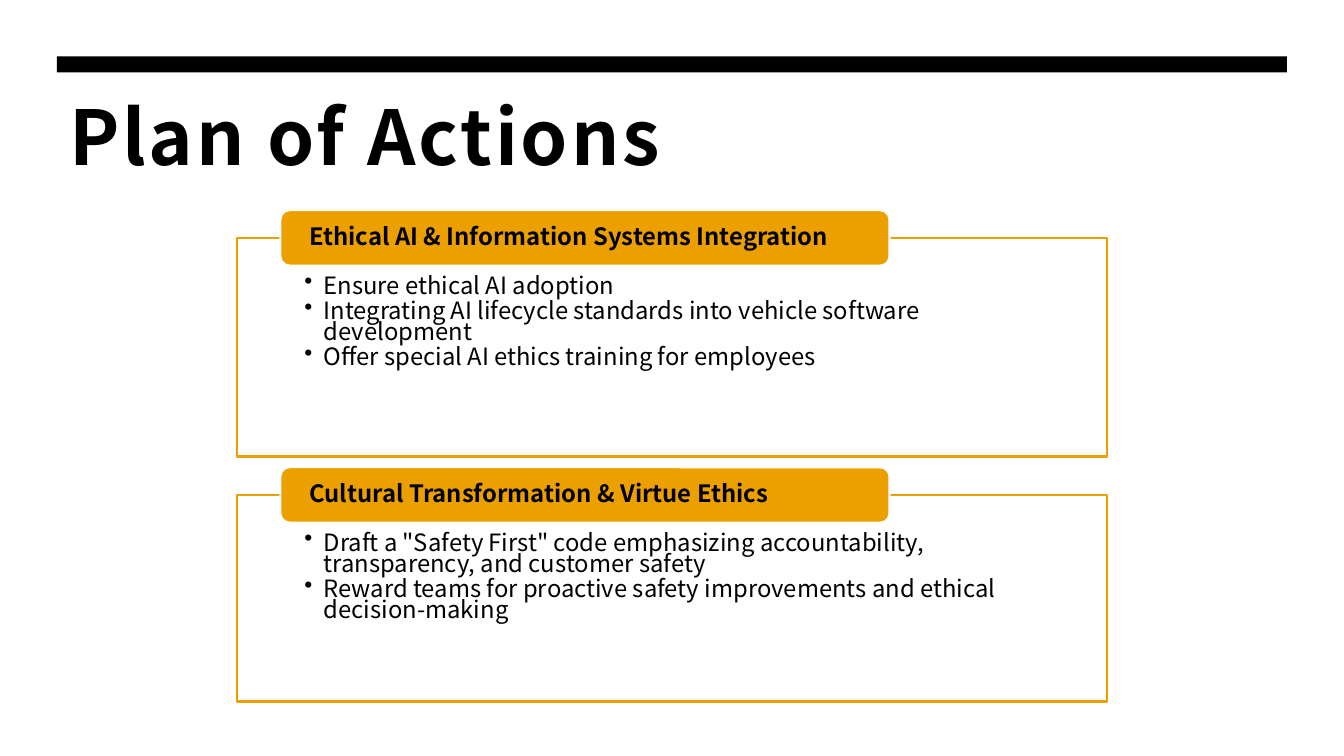
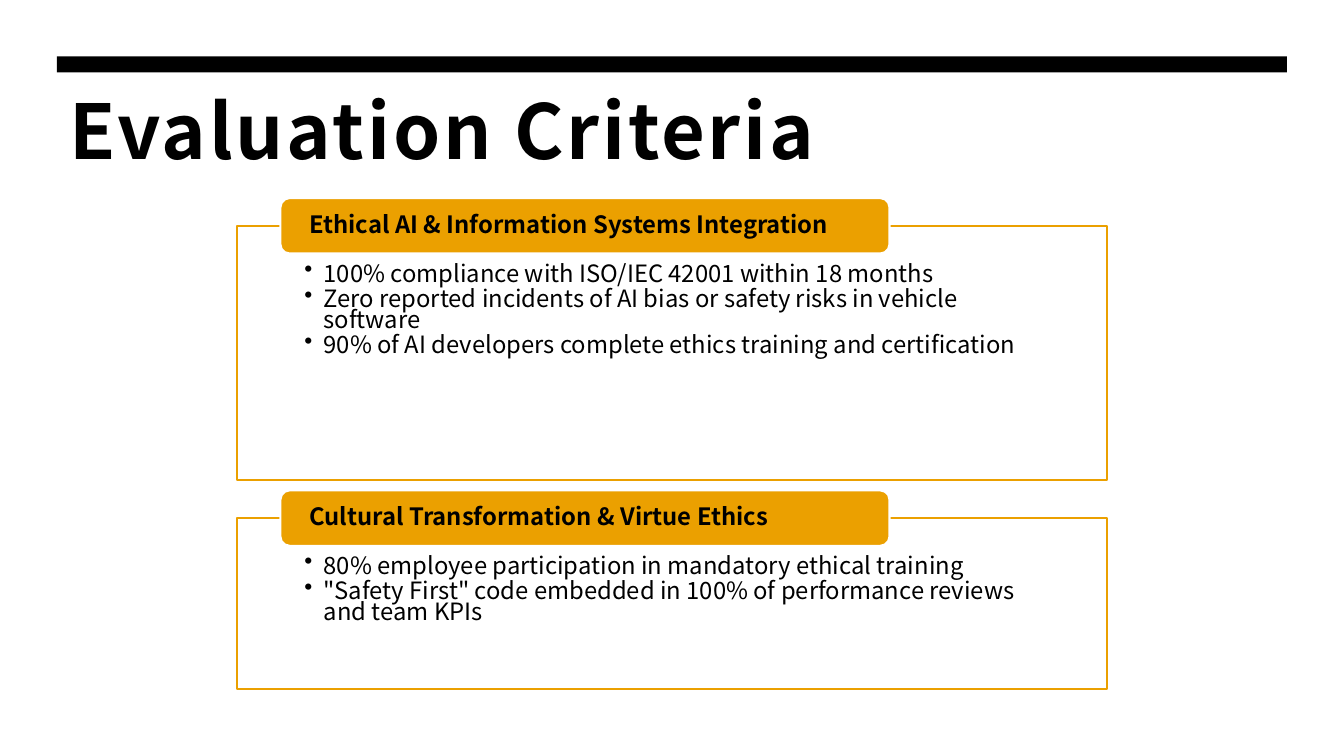
import pptx
import pptx.dml.color
import pptx.enum.shapes
import pptx.enum.text
import pptx.oxml.ns
import pptx.util
import lxml.etree

FONT = "Noto Sans CJK SC"
BLACK, WHITE, AMBER = "000000", "FFFFFF", "EBA000"
SLIDE_W, SLIDE_H = 13.33, 7.5
CONTENT_W = 12.2
CONTENT_X = (SLIDE_W - CONTENT_W) / 2
PANEL_W = 8.63
PANEL_X = (SLIDE_W - PANEL_W) / 2
PANEL_GAP = 0.38
TAB_X = PANEL_X + 0.05 * PANEL_W
TAB_W = 0.7 * PANEL_W
TAB_H = 0.55
BULLET_INDENT = 0.19

INTEGRATION = "Ethical AI & Information Systems Integration"
CULTURE = "Cultural Transformation & Virtue Ethics"

SLIDES = [
    ("Plan of Actions", 0.87, 2.36, [
        (INTEGRATION, 2.17, [
            "Ensure ethical AI adoption",
            "Integrating AI lifecycle standards into vehicle software development",
            "Offer special AI ethics training for employees",
        ]),
        (CULTURE, 2.05, [
            'Draft a "Safety First" code emphasizing accountability, transparency, and customer safety',
            "Reward teams for proactive safety improvements and ethical decision-making",
        ]),
    ]),
    ("Evaluation Criteria", 0.81, 2.24, [
        (INTEGRATION, 2.52, [
            "100% compliance with ISO/IEC 42001 within 18 months",
            "Zero reported incidents of AI bias or safety risks in vehicle software",
            "90% of AI developers complete ethics training and certification",
        ]),
        (CULTURE, 1.7, [
            "80% employee participation in mandatory ethical training",
            '"Safety First" code embedded in 100% of performance reviews and team KPIs',
        ]),
    ]),
]


def rgb(value):
    return pptx.dml.color.RGBColor.from_string(value)


def inches(*lengths):
    return [pptx.util.Inches(length) for length in lengths]


def add_block(slide, preset, box, fill, line=None):
    block = slide.shapes.add_shape(preset, *inches(*box))
    block.shadow.inherit = False
    block.fill.solid()
    block.fill.fore_color.rgb = rgb(fill)
    if line:
        block.line.color.rgb = rgb(line)
        block.line.width = pptx.util.Pt(1.5)
    else:
        block.line.fill.background()
    return block


def write(frame, lines, insets, anchor, size, bold, spacing, after=0, bulleted=False):
    frame.word_wrap = True
    frame.vertical_anchor = anchor
    (frame.margin_left, frame.margin_top,
     frame.margin_right, frame.margin_bottom) = inches(*insets)
    frame.text = "\n".join(lines)
    for paragraph in frame.paragraphs:
        if bulleted:
            add_bullet(paragraph)
        paragraph.alignment = pptx.enum.text.PP_ALIGN.LEFT
        paragraph.line_spacing = spacing
        paragraph.space_after = pptx.util.Pt(after)
        for run in paragraph.runs:
            run.font.name = FONT
            run.font.size = pptx.util.Pt(size)
            run.font.bold = bold
            run.font.color.rgb = rgb(BLACK)


def add_bullet(paragraph):
    properties = paragraph._p.get_or_add_pPr()
    indent = pptx.util.Inches(BULLET_INDENT)
    properties.set("marL", str(indent))
    properties.set("indent", str(-indent))
    bullet = lxml.etree.SubElement(properties, pptx.oxml.ns.qn("a:buChar"))
    bullet.set("char", "•")


def add_heading(slide, title, top):
    add_block(slide, pptx.enum.shapes.MSO_SHAPE.RECTANGLE,
              (CONTENT_X, 0.56, CONTENT_W, 0.16), BLACK)
    heading = slide.shapes.add_textbox(*inches(CONTENT_X, top, CONTENT_W, 1.6))
    write(heading.text_frame, [title], (0.12, 0.12, 0.12, 0.1),
          pptx.enum.text.MSO_ANCHOR.TOP, 54, True, 0.9)
    for run in heading.text_frame.paragraphs[0].runs:
        run._r.get_or_add_rPr().set("spc", "200")


def add_panel(slide, topic, actions, top, height):
    panel = add_block(slide, pptx.enum.shapes.MSO_SHAPE.RECTANGLE,
                      (PANEL_X, top, PANEL_W, height), WHITE, AMBER)
    write(panel.text_frame, actions, (0.67, 0.39, 0.67, 0.13),
          pptx.enum.text.MSO_ANCHOR.TOP, 17, False, 0.74, 3, True)
    tab = add_block(slide, pptx.enum.shapes.MSO_SHAPE.ROUNDED_RECTANGLE,
                    (TAB_X, top - TAB_H / 2, TAB_W, TAB_H), AMBER, WHITE)
    write(tab.text_frame, [topic], (0.26, 0, 0.26, 0),
          pptx.enum.text.MSO_ANCHOR.MIDDLE, 17, True, 0.9)


def main():
    deck = pptx.Presentation()
    deck.slide_width, deck.slide_height = inches(SLIDE_W, SLIDE_H)
    blank = deck.slide_layouts[6]
    for title, title_top, panel_top, panels in SLIDES:
        slide = deck.slides.add_slide(blank)
        add_heading(slide, title, title_top)
        for topic, height, actions in panels:
            add_panel(slide, topic, actions, panel_top, height)
            panel_top += height + PANEL_GAP
    deck.save("out.pptx")


if __name__ == "__main__":
    main()
